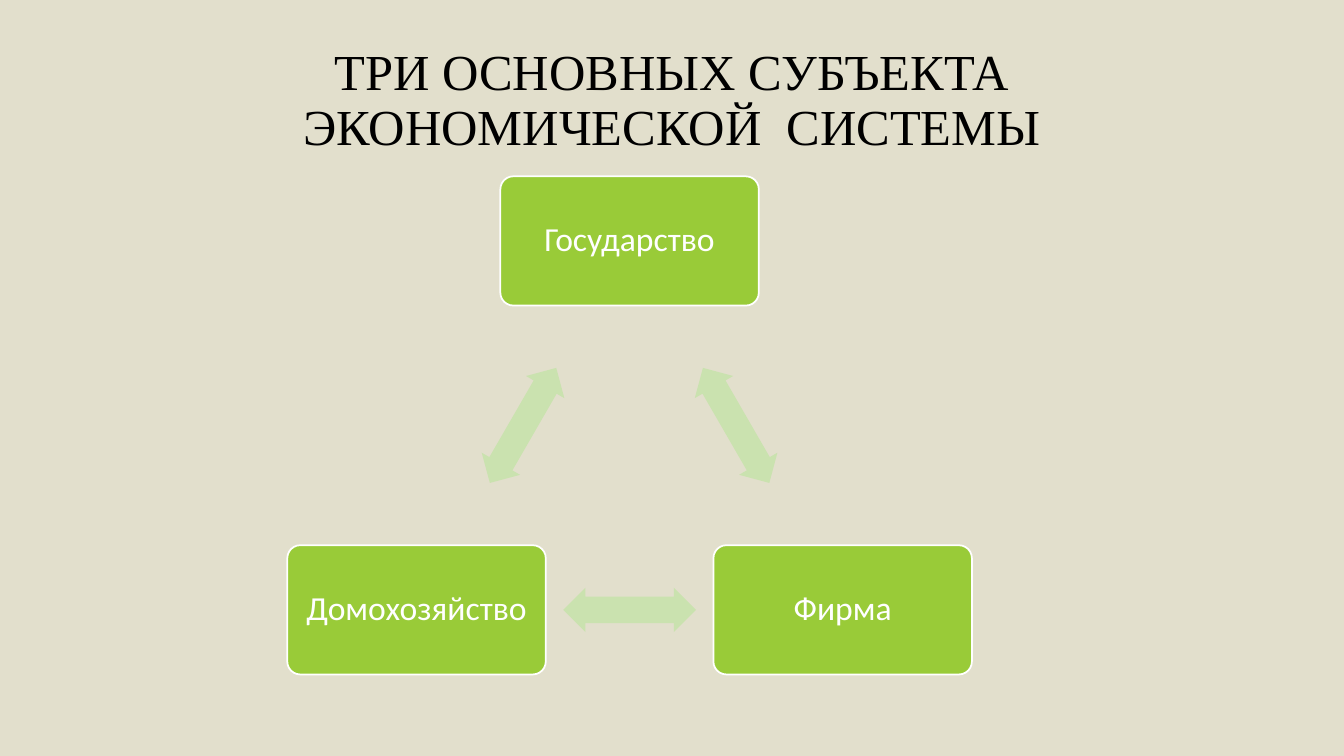
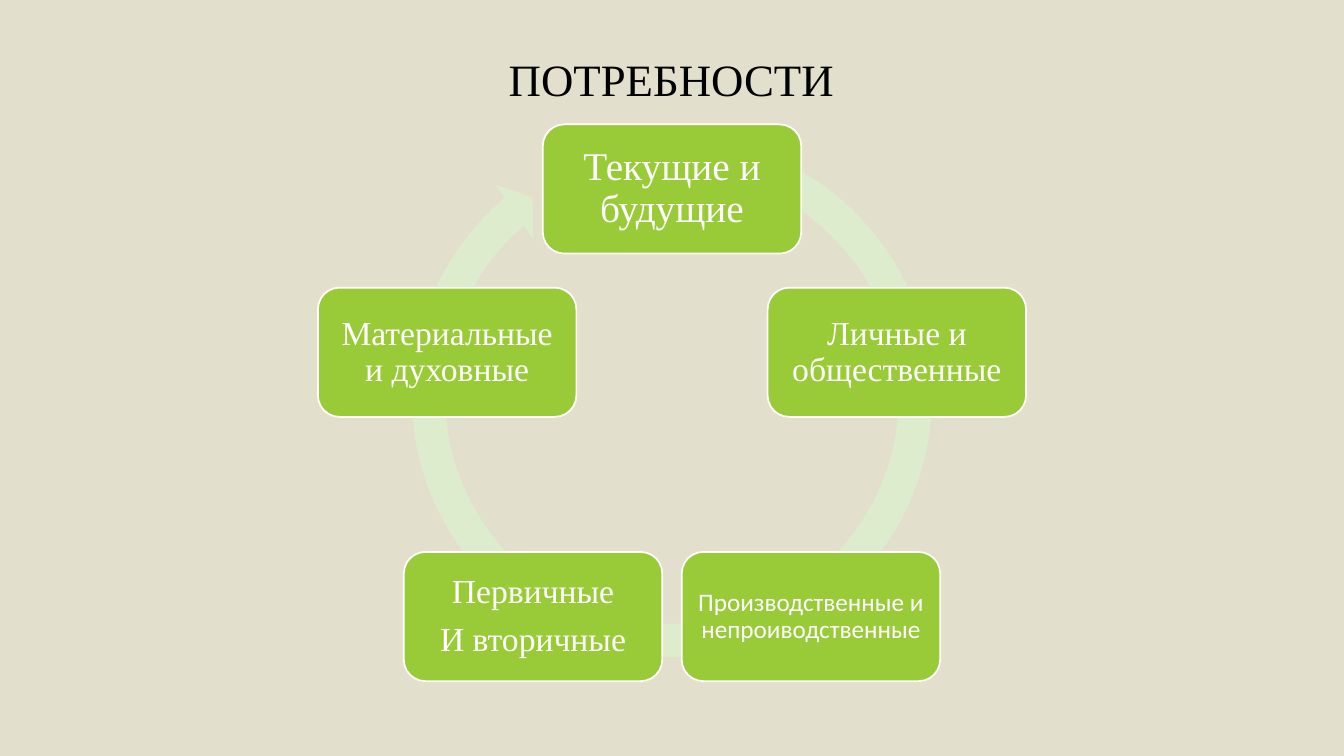
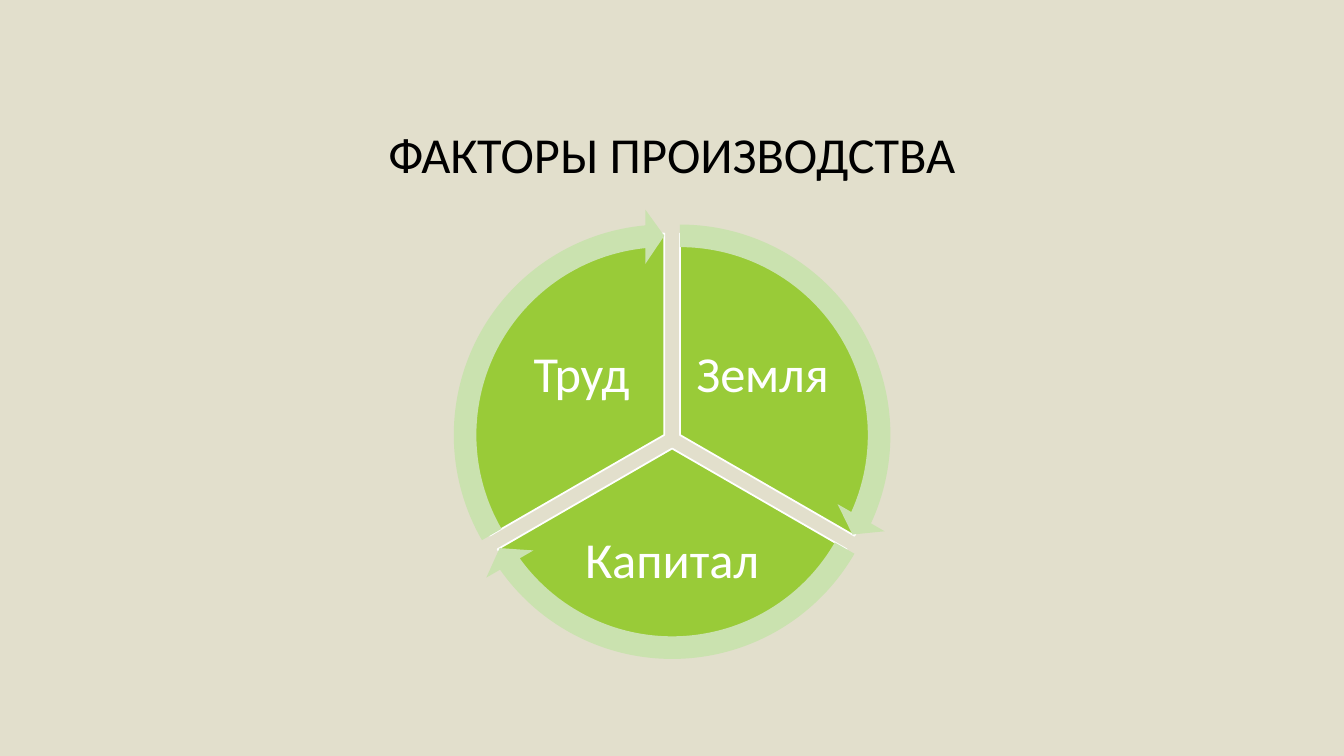
"""Three slides on economic subjects, needs and factors of production."""
import math
from typing import NamedTuple

from pptx import Presentation
from pptx import util as u
from pptx.dml.color import RGBColor
from pptx.enum import shapes, text

SAND = RGBColor(0xE2, 0xDF, 0xCC)
GREEN = RGBColor(0x99, 0xCB, 0x38)
LIGHT = RGBColor(0xCA, 0xE2, 0xAF)
PALE = RGBColor(0xDE, 0xEC, 0xCE)
WHITE = RGBColor(0xFF, 0xFF, 0xFF)
BLACK = RGBColor(0, 0, 0)
SANS, SERIF = "Calibri", "Times New Roman"
KIND = shapes.MSO_SHAPE
WIDTH, HEIGHT = u.Inches(13.33), u.Inches(7.5)
NODE_W = WIDTH / 5.2
NODE_H = NODE_W / 2


class Box(NamedTuple):
    """A region of the slide."""
    left: float
    top: float
    width: float
    height: float

    def at(self, dx=0, dy=0):
        """Return the point offset from the centre by shares of the width."""
        return (self.left + self.width * (0.5 + dx),
                self.top + self.height / 2 + self.width * dy)

    def polar(self, angle, share=0.5):
        """Return the point at a clockwise angle from the top."""
        a = math.radians(angle)
        return self.at(share * math.sin(a), -share * math.cos(a))


def area(left, top, width, height):
    """Turn percentages of the slide into a box."""
    return Box(left * WIDTH / 100, top * HEIGHT / 100,
               width * WIDTH / 100, height * HEIGHT / 100)


def centred(point, width, height):
    """Return integer bounds centred on a point."""
    x, y = point
    return [int(v) for v in (x - width / 2, y - height / 2, width, height)]


def write(sp, lines, size, font=SANS, color=WHITE, inset=0.1):
    """Fill a shape with centred lines of text."""
    tf = sp.text_frame
    frame = dict(word_wrap=True, auto_size=text.MSO_AUTO_SIZE.NONE,
                 vertical_anchor=text.MSO_ANCHOR.MIDDLE)
    frame.update({f"margin_{side}": u.Inches(inset)
                  for side in ("left", "top", "right", "bottom")})
    for name, value in frame.items():
        setattr(tf, name, value)
    for i, line in enumerate(lines):
        p = tf.add_paragraph() if i else tf.paragraphs[0]
        p.alignment, p.line_spacing = text.PP_ALIGN.CENTER, 0.9
        if i < len(lines) - 1:
            p.space_after = u.Pt(0.35 * size)
        r = p.add_run()
        r.text = line
        for name, value in dict(name=font, size=u.Pt(size)).items():
            setattr(r.font, name, value)
        r.font.color.rgb = color


def draw(s, kind, bounds, fill, outlined=False, adj=(), rotation=0):
    """Add a flat preset shape."""
    sp = s.shapes.add_shape(kind, *bounds)
    sp.shadow.inherit = False
    sp.rotation = rotation
    sp.fill.solid()
    sp.fill.fore_color.rgb = fill
    if outlined:
        sp.line.color.rgb, sp.line.width = WHITE, u.Pt(1.25)
    else:
        sp.line.fill.background()
    for i, value in enumerate(adj):
        sp.adjustments[i] = value
    return sp


def titled_slide(prs, title, box, size, font):
    """Add a slide with a placed and formatted title."""
    s = prs.slides.add_slide(prs.slide_layouts[5])
    sp = s.shapes.title
    for name, value in box._asdict().items():
        setattr(sp, name, int(value))
    write(sp, [title], size, font, BLACK)
    return s


def nodes(s, box, items, adj=()):
    """Spread rounded boxes evenly round a circle."""
    for i, (lines, size, font, inset) in enumerate(items):
        point = box.polar(360 / len(items) * i)
        sp = draw(s, KIND.ROUNDED_RECTANGLE, centred(point, NODE_W, NODE_H),
                  GREEN, True, adj)
        write(sp, lines, size, font, inset=inset)


def triangle(s, box, names):
    """Draw three nodes with double arrows between them."""
    nodes(s, box, [([name], 24, SANS, 0.1) for name in names], (0.1,))
    for angle in (60, 180, 300):
        bounds = centred(box.polar(angle, 0.25), 0.27 * box.width, 0.09 * box.width)
        draw(s, KIND.LEFT_RIGHT_ARROW, bounds, LIGHT, adj=(0.6, 0.5), rotation=angle)


def cycle(s, box, items):
    """Draw nodes over one large circular arrow."""
    side = 1.17 * box.width
    draw(s, KIND.CIRCULAR_ARROW, centred(box.at(0, -0.06), side, side), PALE,
         adj=(0.06, 3.31, 137.74, 173.87, 0.06))
    nodes(s, box, items)


def wheel(s, box, sectors):
    """Draw three pie sectors with labels, then an arrow round each."""
    starts = (162, 18, 90)
    ends = starts[1:] + starts[:1]
    spans = [(box.polar(60 + 120 * i, 0.02), a, b)
             for i, (a, b) in enumerate(zip(starts, ends))]
    side = 0.89 * box.width
    for (point, start, end), (label, dx, dy, w, h) in zip(spans, sectors):
        draw(s, KIND.PIE, centred(point, side, side), GREEN, True, (start, end))
        tb = s.shapes.add_textbox(*centred(box.at(dx, dy), w * box.width, h * box.width))
        write(tb, [label], 36, inset=0.05)
    for point, start, end in spans:
        draw(s, KIND.CIRCULAR_ARROW, centred(point, box.width, box.width), LIGHT,
             adj=(0.05, 3.27, end - 3.27, start, 0.06))


def main():
    """Build and save the presentation."""
    prs = Presentation()
    prs.slide_width, prs.slide_height = WIDTH, HEIGHT
    background = prs.slide_master.background.fill
    background.solid()
    background.fore_color.rgb = SAND

    s = titled_slide(prs, "ТРИ ОСНОВНЫХ СУБЪЕКТА ЭКОНОМИЧЕСКОЙ  СИСТЕМЫ",
                     area(7.5, 9.07, 85, 8.8), 36, SERIF)
    triangle(s, area(28.54, 31.87, 36.61, 65.07),
             ["Государство", "Фирма", "Домохозяйство"])

    s = titled_slide(prs, "ПОТРЕБНОСТИ", area(17.63, 5.33, 64.66, 11.07), 32, SERIF)
    cycle(s, area(32.41, 25, 35.18, 62.53), [
        (["Текущие и будущие"], 28, SERIF, 0.12),
        (["Личные и общественные"], 24, SERIF, 0.1),
        (["Производственные и непроиводственные"], 18, SANS, 0.07),
        (["Первичные", "И вторичные"], 24, SERIF, 0.1),
        (["Материальные и духовные"], 24, SERIF, 0.1)])

    s = titled_slide(prs, "ФАКТОРЫ ПРОИЗВОДСТВА", area(7.5, 9.07, 85, 23.33), 36, SANS)
    wheel(s, area(33.17, 28.2, 33.68, 59.87), [
        ("Земля", 0.2, -0.14, 0.32, 0.26),
        ("Капитал", 0, 0.27, 0.48, 0.23),
        ("Труд", -0.2, -0.14, 0.32, 0.26)])
    prs.save("out.pptx")


if __name__ == "__main__":
    main()
